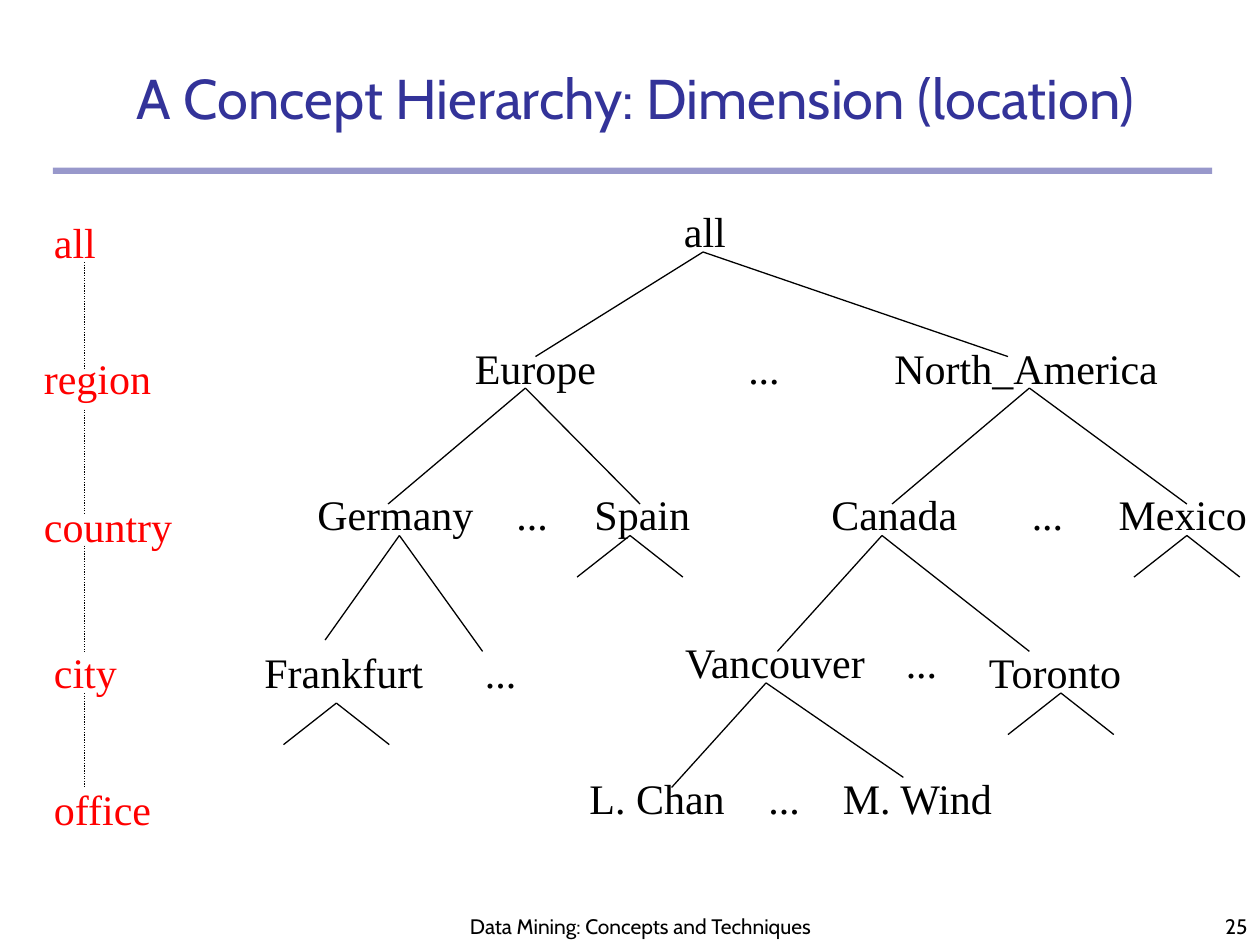
from dataclasses import dataclass

from lxml.etree import SubElement
from pptx import Presentation
from pptx.dml.color import RGBColor
from pptx.enum.dml import MSO_LINE
from pptx.enum.shapes import MSO_CONNECTOR, MSO_SHAPE
from pptx.enum.text import MSO_ANCHOR, MSO_AUTO_SIZE, PP_ALIGN
from pptx.oxml.ns import qn
from pptx.slide import Slide
from pptx.util import Inches, Pt


@dataclass(frozen=True)
class Theme:
    navy: RGBColor = RGBColor(0x33, 0x33, 0x99)
    black: RGBColor = RGBColor(0, 0, 0)
    red: RGBColor = RGBColor(0xFF, 0, 0)
    heading_font: str = "Cabin"
    tree_font: str = "Times New Roman"
    title_size: int = 32
    tree_size: int = 24
    footer_size: int = 12
    line_width: float = 0.75


@dataclass(frozen=True)
class Label:
    text: str
    left: float
    top: float
    width: float


@dataclass(frozen=True)
class Fork:
    """A parent point and the points its branches reach."""
    x: float
    y: float
    ends: tuple[tuple[float, float], ...]


THEME = Theme()
LABEL_HEIGHT = 0.5
ELLIPSIS_WIDTH = 0.45
LEVEL_LINE_X = 0.67

NODES = [
    Label("all", 5.33, 1.58, 0.53),
    Label("Europe", 3.67, 2.67, 1.16),
    Label("North_America", 7, 2.67, 2.29),
    Label("Germany", 2.42, 3.83, 1.44),
    Label("Spain", 4.62, 3.83, 0.96),
    Label("Canada", 6.5, 3.83, 1.2),
    Label("Mexico", 8.78, 3.83, 1.22),
    Label("Frankfurt", 2, 5.08, 1.46),
    Label("Vancouver", 5.34, 5, 1.66),
    Label("Toronto", 7.75, 5.08, 1.27),
    Label("L. Chan", 4.58, 6.08, 1.3),
    Label("M. Wind", 6.59, 6.08, 1.42),
]
ELLIPSES = [(5.84, 2.67), (4, 3.83), (8.09, 3.83), (3.75, 5.08), (7.09, 5), (6, 6.08)]

LEVELS = [
    Label("all", 0.33, 1.67, 0.53),
    Label("region", 0.25, 2.75, 1.05),
    Label("country", 0.25, 3.92, 1.22),
    Label("city", 0.33, 5.08, 0.7),
    Label("office", 0.33, 6.17, 0.97),
]
LEVEL_GAPS = [(2.08, 2.92), (3.25, 4.08), (4.33, 5.17), (5.5, 6.25)]

FORKS = [
    Fork(5.58, 2, ((4.25, 2.83), (8, 2.83))),
    Fork(4.17, 3.08, ((3.08, 4), (5.08, 4))),
    Fork(8.17, 3.08, ((7.08, 4), (9.42, 4))),
    Fork(3.17, 4.25, ((2.58, 5.08), (3.83, 5.17))),
    Fork(7, 4.25, ((6.17, 5.17), (8.17, 5.17))),
    Fork(6.08, 5.42, ((5.33, 6.25), (7.17, 6.17))),
]
STUB_TOPS = [(5, 4.25), (9.42, 4.25), (2.67, 5.58), (8.42, 5.5)]


def stub(x: float, y: float) -> Fork:
    """A short fork whose children are not named."""
    return Fork(x, y, ((x - 0.42, y + 0.33), (x + 0.42, y + 0.33)))


def add_text(page: Slide, label: Label, height: float, font: str, size: int,
             color: RGBColor, align: PP_ALIGN = PP_ALIGN.LEFT,
             anchor: MSO_ANCHOR = MSO_ANCHOR.TOP, wrap: bool = True) -> None:
    box = page.shapes.add_textbox(Inches(label.left), Inches(label.top),
                                  Inches(label.width), Inches(height))
    frame = box.text_frame
    frame.word_wrap = wrap
    frame.auto_size = MSO_AUTO_SIZE.NONE if wrap else MSO_AUTO_SIZE.SHAPE_TO_FIT_TEXT
    frame.vertical_anchor = anchor
    para = frame.paragraphs[0]
    para.text = label.text
    para.alignment = align
    para.font.name = font
    para.font.size = Pt(size)
    para.font.color.rgb = color


def add_tree_label(page: Slide, label: Label, color: RGBColor) -> None:
    add_text(page, label, LABEL_HEIGHT, THEME.tree_font, THEME.tree_size, color, wrap=False)


def add_line(page: Slide, start: tuple[float, float], end: tuple[float, float],
             dash: MSO_LINE | None = None) -> None:
    line = page.shapes.add_connector(MSO_CONNECTOR.STRAIGHT, *map(Inches, start + end))
    line.line.color.rgb = THEME.black
    line.line.width = Pt(THEME.line_width)
    if dash is not None:
        line.line.dash_style = dash
    SubElement(line._element.spPr, qn("a:effectLst"))


def add_title_rule(page: Slide) -> None:
    rule = page.shapes.add_shape(MSO_SHAPE.RECTANGLE, Inches(0.42), Inches(1.33),
                                 Inches(9.2), Inches(0.05))
    rule.shadow.inherit = False
    rule.line.fill.background()
    rule.fill.solid()
    rule.fill.fore_color.rgb = THEME.navy
    color = rule._element.spPr.find(qn("a:solidFill")).find(qn("a:srgbClr"))
    SubElement(color, qn("a:alpha")).set("val", "50000")


def main() -> None:
    deck = Presentation()
    deck.slide_width, deck.slide_height = Inches(10), Inches(7.5)
    page = deck.slides.add_slide(deck.slide_layouts[6])

    add_title_rule(page)
    add_text(page, Label("A Concept Hierarchy: Dimension (location)", 0.67, 0.42, 8.75), 0.67,
             THEME.heading_font, THEME.title_size, THEME.navy,
             PP_ALIGN.CENTER, MSO_ANCHOR.BOTTOM)

    for node in NODES:
        add_tree_label(page, node, THEME.black)
    for left, top in ELLIPSES:
        add_tree_label(page, Label("...", left, top, ELLIPSIS_WIDTH), THEME.black)
    for fork in FORKS + [stub(x, y) for x, y in STUB_TOPS]:
        for end in fork.ends:
            add_line(page, (fork.x, fork.y), end)

    for level in LEVELS:
        add_tree_label(page, level, THEME.red)
    for top, bottom in LEVEL_GAPS:
        add_line(page, (LEVEL_LINE_X, top), (LEVEL_LINE_X, bottom), MSO_LINE.ROUND_DOT)

    footer = Label("Data Mining: Concepts and Techniques", 3.5, 6.92, 3.17)
    number = Label("25", 7.92, 7, 2.08)
    for label, align in ((footer, PP_ALIGN.CENTER), (number, PP_ALIGN.RIGHT)):
        add_text(page, label, 7.5 - label.top, THEME.heading_font, THEME.footer_size,
                 THEME.black, align, MSO_ANCHOR.BOTTOM)

    deck.save("out.pptx")


if __name__ == "__main__":
    main()
